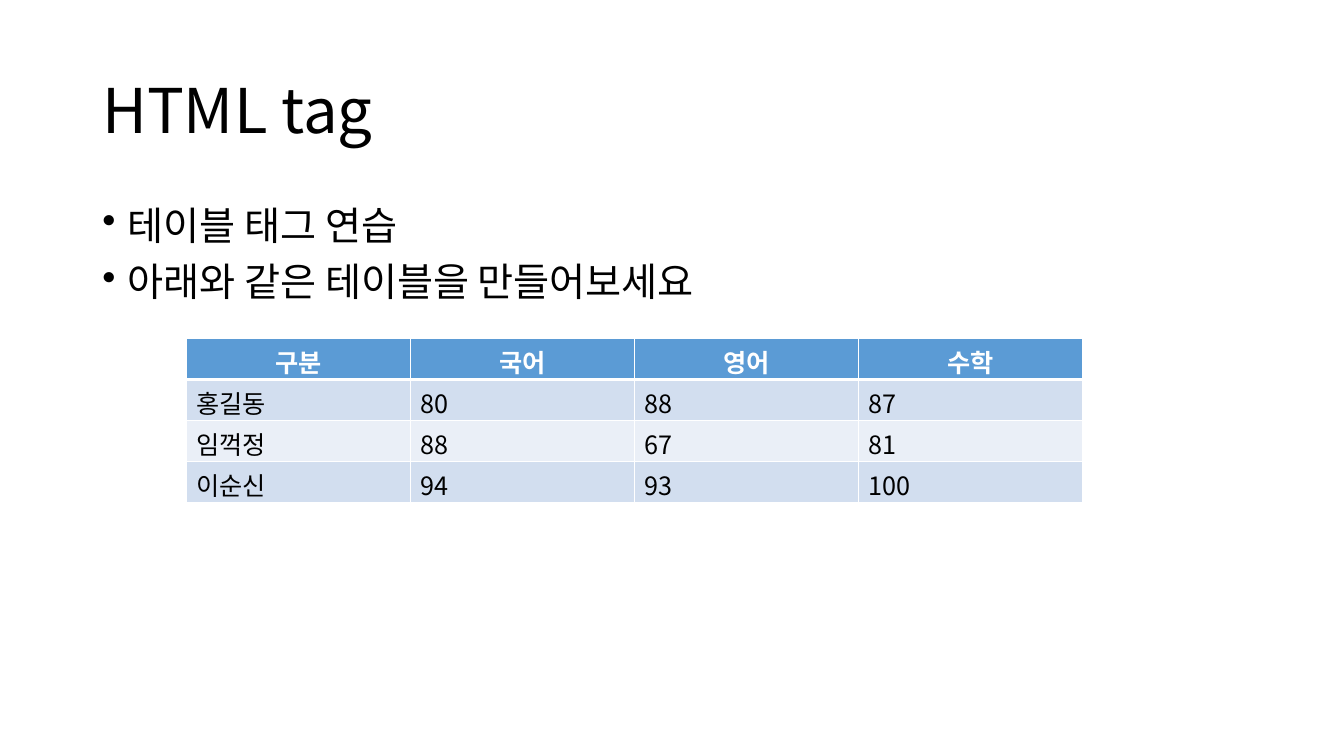
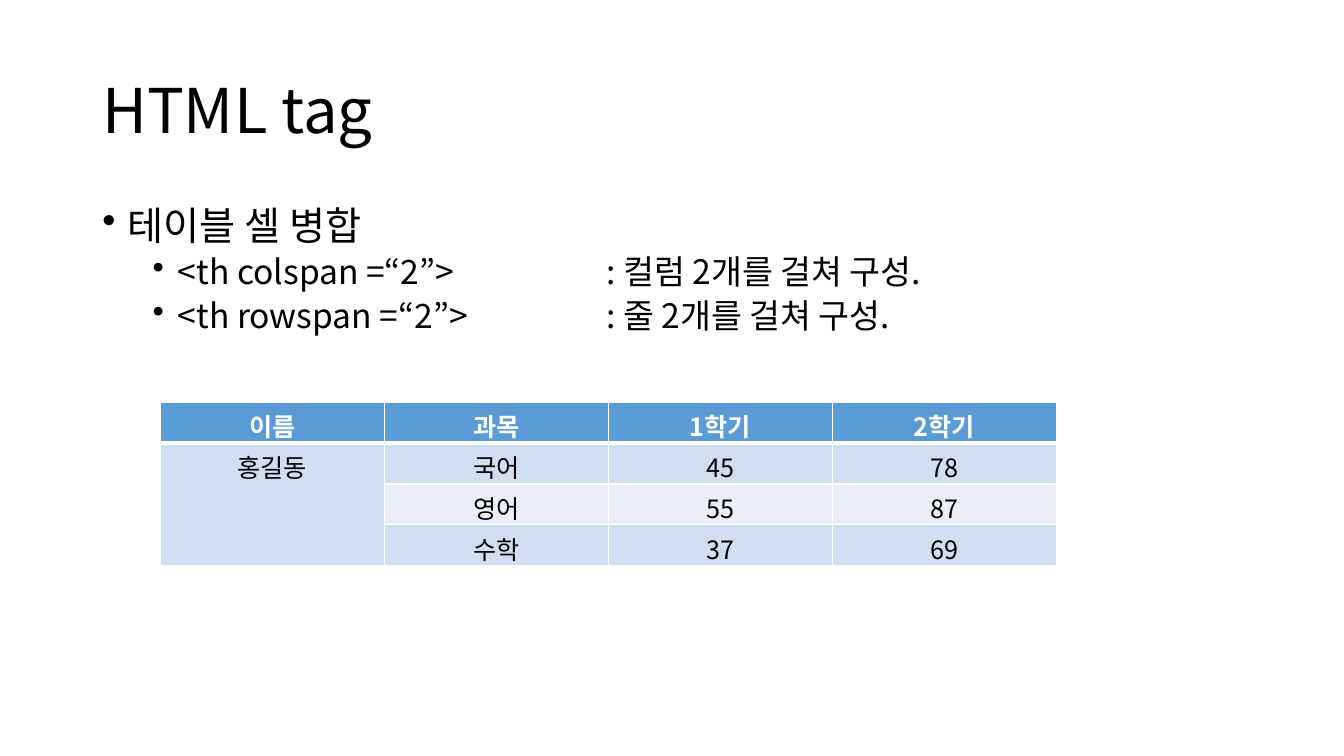
"""Build two slides that practise HTML table tags."""
import pptx
import pptx.dml.color
import pptx.enum.text
import pptx.oxml.ns
import pptx.util
import lxml.etree

Pt = pptx.util.Pt
qn = pptx.oxml.ns.qn
ALIGN = pptx.enum.text.PP_ALIGN
ANCHOR = pptx.enum.text.MSO_ANCHOR

FONT = "Noto Sans CJK KR"
COLORS = {
    "text": "000000",
    "header_text": "FFFFFF",
    "border": "FFFFFF",
    "header": "5B9BD5",
    "band_dark": "D2DEEF",
    "band_light": "EAEFF7",
}
BODY_LEVELS = [
    {"size": 28, "before": 10, "indent": 18},
    {"size": 24, "before": 5, "indent": 54},
]
TEXT_LEFT, TEXT_WIDTH = 66, 828
COLUMN_WIDTH, ROW_HEIGHT = 160, 29.2

SLIDES = [
    {
        "title": "HTML tag",
        "body": [(0, "테이블 태그 연습"), (0, "아래와 같은 테이블을 만들어보세요")],
        "table_at": (133.2, 241.92),
        "rows": [
            ["구분", "국어", "영어", "수학"],
            ["홍길동", "80", "88", "87"],
            ["임꺽정", "88", "67", "81"],
            ["이순신", "94", "93", "100"],
        ],
        "align": ALIGN.LEFT,
        "merge_names": False,
    },
    {
        "title": "HTML tag",
        "body": [
            (0, "테이블 셀 병합"),
            (1, "<th colspan =“2”>\t\t: 컬럼 2개를 걸쳐 구성."),
            (1, "<th rowspan =“2”>\t\t: 줄 2개를 걸쳐 구성."),
        ],
        "table_at": (114.48, 287.28),
        "rows": [
            ["이름", "과목", "1학기", "2학기"],
            ["홍길동", "국어", "45", "78"],
            ["", "영어", "55", "87"],
            ["", "수학", "37", "69"],
        ],
        "align": ALIGN.CENTER,
        "merge_names": True,
    },
]


def style_runs(paragraph, size, color, bold=False):
    for run in paragraph.runs:
        run.font.size = Pt(size)
        run.font.bold = bold
        run.font.name = FONT
        run.font.color.rgb = pptx.dml.color.RGBColor.from_string(COLORS[color])
        east_asian = lxml.etree.Element(qn("a:ea"), typeface=FONT)
        run.font._element.find(qn("a:latin")).addnext(east_asian)


def add_border(cell, side, width):
    properties = cell._tc.get_or_add_tcPr()
    line = lxml.etree.SubElement(properties, qn("a:ln" + side), w=str(Pt(width)))
    fill = lxml.etree.SubElement(line, qn("a:solidFill"))
    lxml.etree.SubElement(fill, qn("a:srgbClr"), val=COLORS["border"])


presentation = pptx.Presentation()
presentation.slide_width = Pt(960)
presentation.slide_height = Pt(540)

for content in SLIDES:
    slide = presentation.slides.add_slide(presentation.slide_layouts[6])

    title = slide.shapes.add_textbox(Pt(TEXT_LEFT), Pt(28.8), Pt(TEXT_WIDTH), Pt(104.4))
    title.text_frame.word_wrap = True
    title.text_frame.vertical_anchor = ANCHOR.MIDDLE
    title.text_frame.text = content["title"]
    title.text_frame.paragraphs[0].line_spacing = 0.9
    style_runs(title.text_frame.paragraphs[0], 44, "text")

    body = slide.shapes.add_textbox(Pt(TEXT_LEFT), Pt(144), Pt(TEXT_WIDTH), Pt(342.72))
    body.text_frame.word_wrap = True
    body.text_frame.text = "\n".join(text for level, text in content["body"])
    for paragraph, (level, text) in zip(body.text_frame.paragraphs, content["body"]):
        style = BODY_LEVELS[level]
        paragraph.level = level
        paragraph.line_spacing = 0.9
        paragraph.space_before = Pt(style["before"])
        properties = paragraph._p.get_or_add_pPr()
        properties.set("marL", str(Pt(style["indent"])))
        properties.set("indent", str(Pt(-18)))
        properties.set("defTabSz", str(Pt(72)))
        lxml.etree.SubElement(properties, qn("a:buChar"), char="•")
        style_runs(paragraph, style["size"], "text")

    rows = content["rows"]
    left, top = content["table_at"]
    table = slide.shapes.add_table(
        len(rows), len(rows[0]), Pt(left), Pt(top),
        Pt(COLUMN_WIDTH * len(rows[0])), Pt(ROW_HEIGHT * len(rows)),
    ).table
    for column in table.columns:
        column.width = Pt(COLUMN_WIDTH)
    for row_index, values in enumerate(rows):
        table.rows[row_index].height = Pt(ROW_HEIGHT)
        is_header = row_index == 0
        band = "header" if is_header else ("band_light", "band_dark")[row_index % 2]
        for column_index, value in enumerate(values):
            cell = table.cell(row_index, column_index)
            for side in "LRTB":
                under_header = (row_index, side) in [(0, "B"), (1, "T")]
                add_border(cell, side, 3 if under_header else 1)
            cell.fill.solid()
            cell.fill.fore_color.rgb = pptx.dml.color.RGBColor.from_string(COLORS[band])
            cell.text_frame.text = value
            paragraph = cell.text_frame.paragraphs[0]
            paragraph.alignment = ALIGN.CENTER if is_header else content["align"]
            style_runs(paragraph, 18, "header_text" if is_header else "text", is_header)
    if content["merge_names"]:
        table.cell(1, 0).merge(table.cell(len(rows) - 1, 0))

presentation.save("out.pptx")
